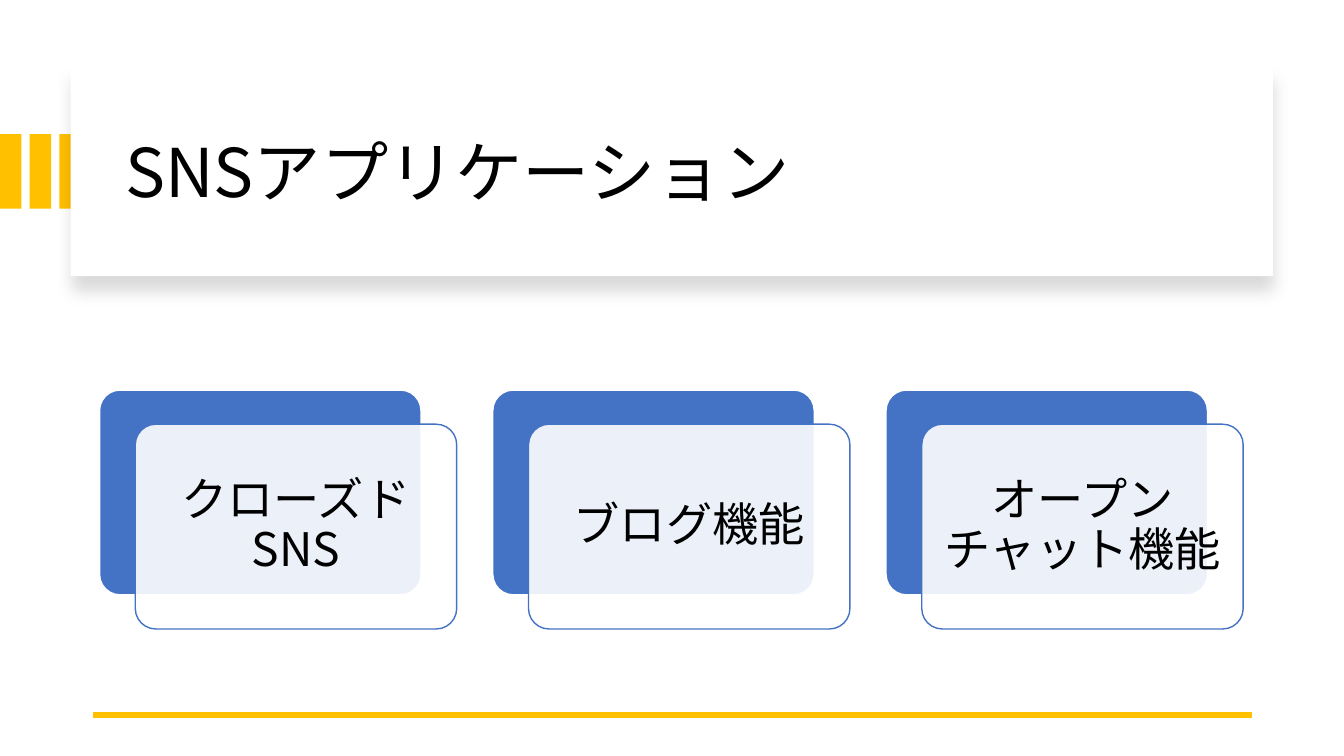
from dataclasses import dataclass

from lxml import etree
from pptx import Presentation
from pptx.dml.color import RGBColor
from pptx.enum.lang import MSO_LANGUAGE_ID
from pptx.enum.shapes import MSO_CONNECTOR, MSO_SHAPE
from pptx.enum.text import MSO_ANCHOR, MSO_AUTO_SIZE, PP_ALIGN
from pptx.oxml import parse_xml
from pptx.oxml.ns import nsdecls, qn
from pptx.util import Cm, Pt

RECT, ROUND = MSO_SHAPE.RECTANGLE, MSO_SHAPE.ROUNDED_RECTANGLE
STRAIGHT = MSO_CONNECTOR.STRAIGHT
LEFT, CENTER = PP_ALIGN.LEFT, PP_ALIGN.CENTER
MIDDLE, NO_FIT = MSO_ANCHOR.MIDDLE, MSO_AUTO_SIZE.NONE
JAPANESE = MSO_LANGUAGE_ID.JAPANESE
TITLE_ONLY = 5


@dataclass(frozen=True)
class Theme:
    font: str = "Noto Sans CJK JP"
    gold: str = "FFC000"
    blue: str = "4472C4"
    white: str = "FFFFFF"
    black: str = "000000"
    title_size: float = 48
    card_size: float = 33


@dataclass(frozen=True)
class Box:
    x: float
    y: float
    w: float
    h: float

    def shifted(self, dx: float, dy: float = 0) -> "Box":
        return Box(self.x + dx, self.y + dy, self.w, self.h)

    def lengths(self) -> tuple:
        return Cm(self.x), Cm(self.y), Cm(self.w), Cm(self.h)


THEME = Theme()
FEATURES = ["クローズドSNS", "ブログ機能", "オープンチャット機能"]

BAR, BAR_STEP, BAR_COUNT = Box(0, 3.38, 0.54, 1.88), 0.75, 3
PANEL = Box(1.78, 1.7, 30.3, 5.26)
TITLE = Box(2.9, 2.26, 28.27, 4.32)
CARD, CARD_STEP = Box(2.51, 9.83, 8.1, 5.16), 9.91
FRONT_SHIFT = (0.9, 0.86)
CARD_INSET = Cm(0.36)
RULE_LEFT, RULE_RIGHT, RULE_Y = Cm(2.34), Cm(31.55), Cm(18.01)


def rgb(color: str) -> RGBColor:
    return RGBColor.from_string(color)


def set_attrs(obj, values: dict) -> None:
    for name, value in values.items():
        setattr(obj, name, value)


def add_block(s, kind, box: Box, fill: str, line: str = ""):
    sp = s.shapes.add_shape(kind, *box.lengths())
    sp.shadow.inherit = False
    sp.fill.solid()
    sp.fill.fore_color.rgb = rgb(fill)
    if line:
        sp.line.color.rgb = rgb(line)
        sp.line.width = Pt(1)
    else:
        sp.line.fill.background()
    if kind == ROUND:
        sp.adjustments[0] = 0.1
    return sp


def write(sp, text: str, size: float, align, frame: dict) -> None:
    tf = sp.text_frame
    set_attrs(tf, {"word_wrap": True, "auto_size": NO_FIT,
                   "vertical_anchor": MIDDLE, **frame})
    p = tf.paragraphs[0]
    set_attrs(p, {"alignment": align, "line_spacing": 0.9})
    r = p.add_run()
    r.text = text
    set_attrs(r.font, {"size": Pt(size), "name": THEME.font,
                       "language_id": JAPANESE})
    r.font.color.rgb = rgb(THEME.black)
    ea = etree.SubElement(r.font._element, qn("a:ea"))
    ea.set("typeface", THEME.font)


def add_soft_shadow(sp) -> None:
    effects = sp._element.spPr.find(qn("a:effectLst"))
    effects.append(parse_xml(
        f'<a:outerShdw {nsdecls("a")} blurRad="{Pt(11)}" dist="{Pt(10)}" '
        f'dir="5400000" algn="t" rotWithShape="0"><a:srgbClr val="{THEME.black}">'
        '<a:alpha val="15000"/></a:srgbClr></a:outerShdw>'))


def set_opacity(sp, percent: int) -> None:
    color = sp._element.spPr.find(qn("a:solidFill"))[0]
    etree.SubElement(color, qn("a:alpha")).set("val", str(percent * 1000))


def add_heading(s) -> None:
    for i in range(BAR_COUNT):
        add_block(s, RECT, BAR.shifted(i * BAR_STEP), THEME.gold)
    panel = add_block(s, RECT, PANEL, THEME.white)
    add_soft_shadow(panel)

    title = s.shapes.title
    panel._element.addnext(title._element)  # title stands in front of its panel
    set_attrs(title, dict(zip(("left", "top", "width", "height"), TITLE.lengths())))
    write(title, "SNSアプリケーション", THEME.title_size, LEFT, {})


def add_rule(s) -> None:
    line = s.shapes.add_connector(STRAIGHT, RULE_RIGHT, RULE_Y, RULE_LEFT, RULE_Y)
    line.line.color.rgb = rgb(THEME.gold)
    line.line.width = Pt(4.5)
    etree.SubElement(line._element.spPr, qn("a:effectLst"))


def add_card(s, box: Box, text: str) -> None:
    add_block(s, ROUND, box, THEME.blue, THEME.white)
    front = add_block(s, ROUND, box.shifted(*FRONT_SHIFT), THEME.white, THEME.blue)
    set_opacity(front, 90)
    sides = ("left", "top", "right", "bottom")
    write(front, text, THEME.card_size, CENTER,
          {f"margin_{side}": CARD_INSET for side in sides})


def main() -> None:
    prs = Presentation()
    prs.slide_width, prs.slide_height = Cm(33.87), Cm(19.05)
    s = prs.slides.add_slide(prs.slide_layouts[TITLE_ONLY])

    # Heading with gold bars, then the rule at the foot
    add_heading(s)
    add_rule(s)

    # One card per feature
    for i, text in enumerate(FEATURES):
        add_card(s, CARD.shifted(i * CARD_STEP), text)

    prs.save("out.pptx")


if __name__ == "__main__":
    main()
